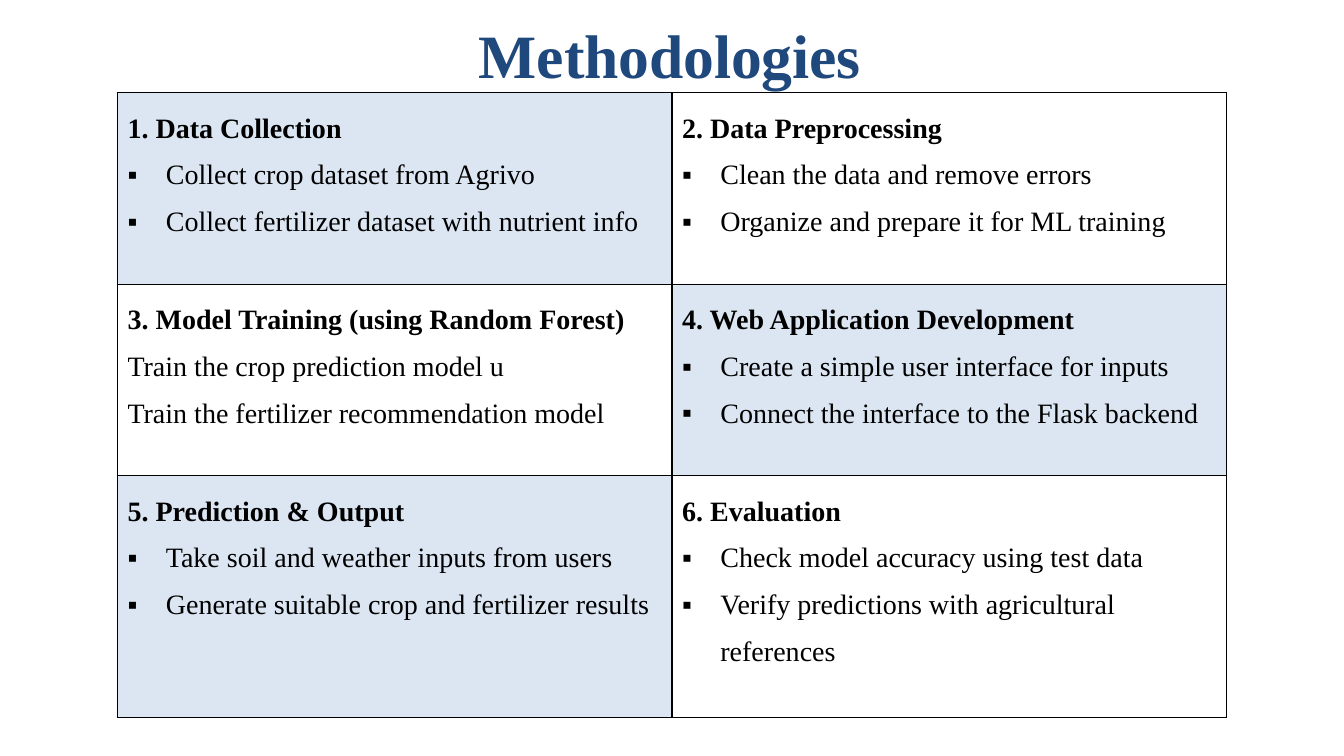
from lxml import etree
from pptx import Presentation, util as u
from pptx.dml.color import RGBColor
from pptx.enum import text
from pptx.oxml import ns

TITLE = "Methodologies"
STEPS = [
    ("Data Collection", True,
     ["Collect crop dataset from Agrivo", "Collect fertilizer dataset with nutrient info"]),
    ("Data Preprocessing", True,
     ["Clean the data and remove errors", "Organize and prepare it for ML training"]),
    ("Model Training (using Random Forest)", False,
     ["Train the crop prediction model u", "Train the fertilizer recommendation model"]),
    ("Web Application Development", True,
     ["Create a simple user interface for inputs", "Connect the interface to the Flask backend"]),
    ("Prediction & Output", True,
     ["Take soil and weather inputs from users", "Generate suitable crop and fertilizer results"]),
    ("Evaluation", True,
     ["Check model accuracy using test data", "Verify predictions with agricultural references"]),
]

FONT = "Times New Roman"
NAVY = RGBColor(0x1F, 0x48, 0x7C)
BLACK = RGBColor(0, 0, 0)
WHITE = RGBColor(0xFF, 0xFF, 0xFF)
PALE_BLUE = RGBColor(0xDC, 0xE6, 0xF2)

SLIDE_WIDTH, SLIDE_HEIGHT = 13.33, 7.5
COLUMNS = 2
COLUMN_WIDTH = 5.5
ROW_HEIGHTS = [1.9, 1.9, 2.4]
TABLE_WIDTH = COLUMNS * COLUMN_WIDTH
TABLE_LEFT = (SLIDE_WIDTH - TABLE_WIDTH) / 2
TABLE_TOP = 0.92
BULLET_INDENT = u.Inches(0.38)


def add_run(paragraph, words, size, color, bold):
    run = paragraph.add_run()
    run.text = words
    run.font.name = FONT
    run.font.size = u.Pt(size)
    run.font.color.rgb = color
    run.font.bold = bold
    return run


def add_bullet(paragraph):
    properties = paragraph._p.get_or_add_pPr()
    properties.set("marL", str(BULLET_INDENT))
    properties.set("indent", str(-BULLET_INDENT))
    etree.SubElement(properties, ns.qn("a:buFont"), typeface=FONT)
    etree.SubElement(properties, ns.qn("a:buChar"), char="▪")


def add_borders(cell):
    """Put a thin black line on all four sides; lines must precede the fill."""
    properties = cell._tc.get_or_add_tcPr()
    for position, side in enumerate(("a:lnL", "a:lnR", "a:lnT", "a:lnB")):
        line = etree.Element(ns.qn(side), w=str(u.Pt(1)))
        fill = etree.SubElement(line, ns.qn("a:solidFill"))
        etree.SubElement(fill, ns.qn("a:srgbClr"), val=str(BLACK))
        properties.insert(position, line)


def add_title(slide):
    box = slide.shapes.add_textbox(u.Inches(4.75), u.Inches(0.09), u.Inches(3.83), u.Inches(0.76))
    frame = box.text_frame
    frame.word_wrap = True
    frame.margin_left = frame.margin_right = frame.margin_bottom = 0
    frame.margin_top = u.Inches(0.08)
    run = add_run(frame.paragraphs[0], TITLE, 44, NAVY, True)
    run.font._element.set("spc", "-10")


def fill_cell(cell, number, heading, bulleted, points):
    frame = cell.text_frame
    add_run(frame.paragraphs[0], f"{number}. {heading}", 20, BLACK, True)
    for point in points:
        paragraph = frame.add_paragraph()
        if bulleted:
            add_bullet(paragraph)
        add_run(paragraph, point, 20, BLACK, False)
    for paragraph in frame.paragraphs:
        paragraph.line_spacing = 1.5
    cell.vertical_anchor = text.MSO_ANCHOR.TOP


def add_steps_table(slide):
    table = slide.shapes.add_table(
        len(ROW_HEIGHTS), COLUMNS, u.Inches(TABLE_LEFT), u.Inches(TABLE_TOP),
        u.Inches(TABLE_WIDTH), u.Inches(sum(ROW_HEIGHTS))).table
    for column in table.columns:
        column.width = u.Inches(COLUMN_WIDTH)
    for row, height in zip(table.rows, ROW_HEIGHTS):
        row.height = u.Inches(height)
    for index, step in enumerate(STEPS):
        row, column = divmod(index, COLUMNS)
        cell = table.cell(row, column)
        fill_cell(cell, index + 1, *step)
        cell.fill.solid()
        cell.fill.fore_color.rgb = WHITE if (row + column) % 2 else PALE_BLUE
        add_borders(cell)


def main():
    presentation = Presentation()
    presentation.slide_width = u.Inches(SLIDE_WIDTH)
    presentation.slide_height = u.Inches(SLIDE_HEIGHT)
    slide = presentation.slides.add_slide(presentation.slide_layouts[6])
    add_title(slide)
    add_steps_table(slide)
    presentation.save("out.pptx")


if __name__ == "__main__":
    main()
